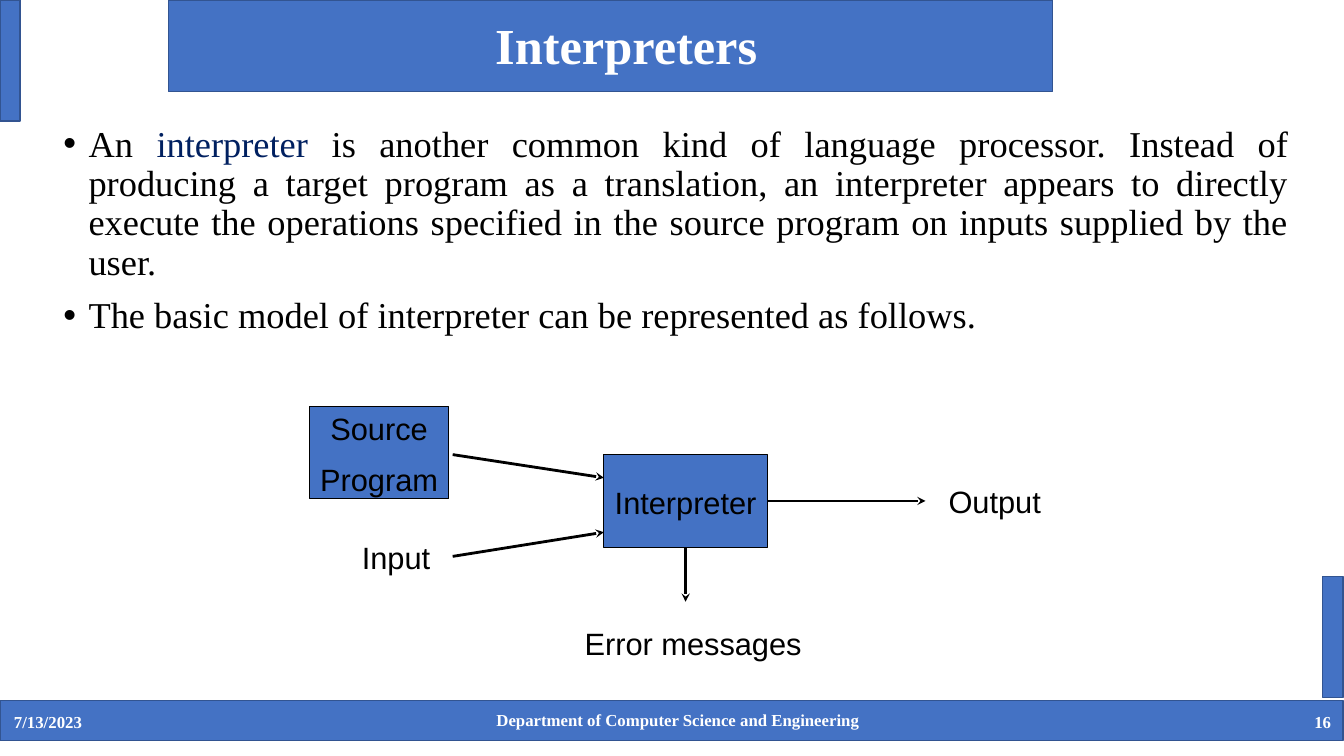
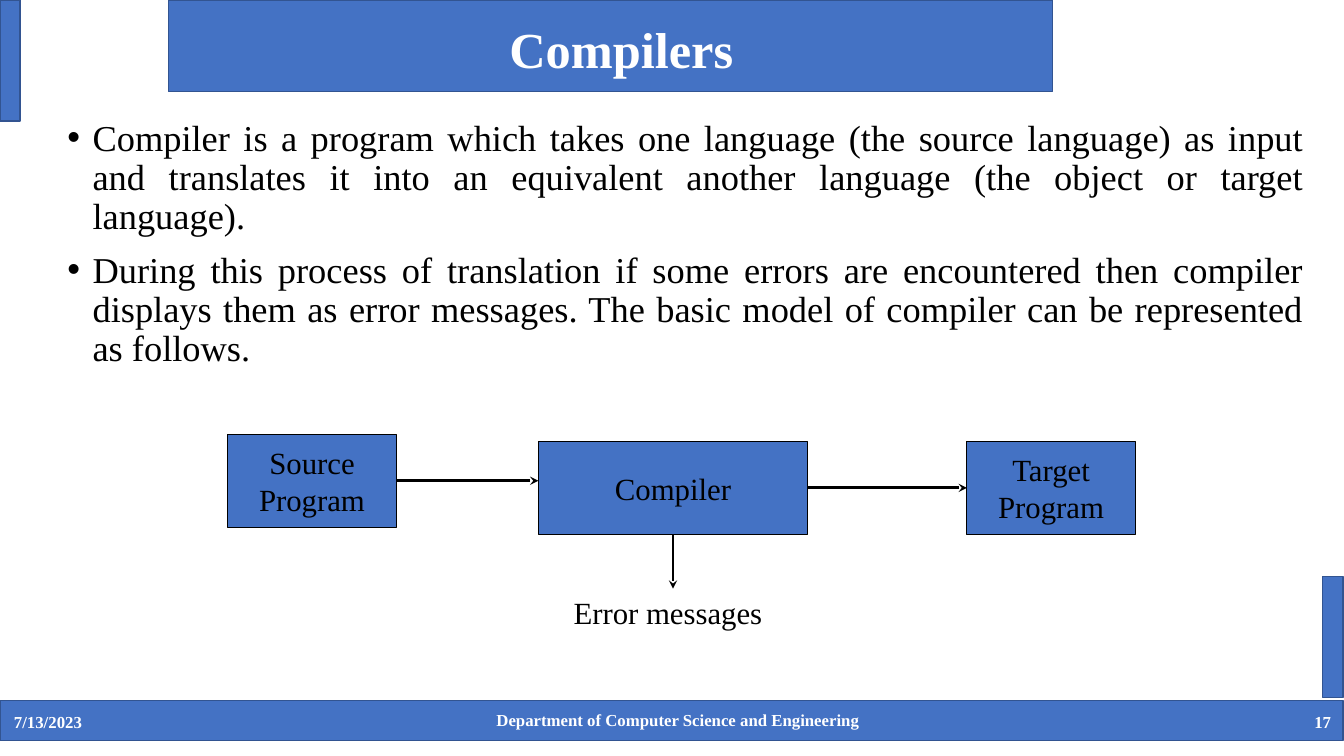
from lxml import etree
from pptx import Presentation
from pptx.dml.color import RGBColor
from pptx.enum.shapes import MSO_CONNECTOR, MSO_SHAPE
from pptx.enum.text import MSO_ANCHOR, PP_ALIGN
from pptx.oxml.ns import qn
from pptx.util import Inches, Pt

RECT = MSO_SHAPE.RECTANGLE
LINE = MSO_CONNECTOR.STRAIGHT
LEFT, MID, RIGHT, JUST = (PP_ALIGN.LEFT, PP_ALIGN.CENTER,
                          PP_ALIGN.RIGHT, PP_ALIGN.JUSTIFY)
MIDDLE = MSO_ANCHOR.MIDDLE
BOTTOM_SIDE, LEFT_SIDE, RIGHT_SIDE = 2, 1, 3

BLUE, EDGE, NAVY = "4472C4", "325491", "002060"
BLACK, WHITE = "000000", "FFFFFF"
SERIF, SANS = "Times New Roman", "Arial"

TITLE = dict(size=36, color=WHITE, bold=True, align=MID, lead=0.9)
BODY = dict(size=26, align=JUST, lead=0.9, before=10)
FOOT = dict(size=12, color=WHITE, bold=True)
LOOSE = dict(size=22, font=SANS, lead=1.07, after=8)
PLAIN = dict(size=22)

BANDS = [(0, 6.95, 13.32, 0.4), (0, 0, 0.2, 1.2),
         (1.67, 0, 8.77, 0.91), (13.12, 5.72, 0.2, 1.2)]
BOX_H = 0.92


def rgb(code):
    return RGBColor.from_string(code)


def write(frame, paras, size, font=SERIF, color=BLACK, bold=False,
          align=LEFT, lead=None, before=None, after=None):
    """Fill a text frame; each paragraph is a list of (text, colour or None)."""
    for i, runs in enumerate(paras):
        para = frame.paragraphs[0] if i == 0 else frame.add_paragraph()
        para.alignment = align
        if lead:
            para.line_spacing = lead
        if before:
            para.space_before = Pt(before)
        if after:
            para.space_after = Pt(after)
        for text, tint in runs:
            run = para.add_run()
            run.text = text
            run.font.name = font
            run.font.size = Pt(size)
            run.font.bold = bold
            run.font.color.rgb = rgb(tint or color)


def lines(*texts):
    return [[(text, None)] for text in texts]


def label(slide, x, y, w, h, paras, style, wrap=True):
    box = slide.shapes.add_textbox(Inches(x), Inches(y), Inches(w), Inches(h))
    box.text_frame.word_wrap = wrap
    write(box.text_frame, paras, **style)
    return box


def block(slide, x, y, w, h, edge, weight):
    shape = slide.shapes.add_shape(RECT, Inches(x), Inches(y),
                                   Inches(w), Inches(h))
    shape.shadow.inherit = False
    shape.fill.solid()
    shape.fill.fore_color.rgb = rgb(BLUE)
    shape.line.color.rgb = rgb(edge)
    shape.line.width = Pt(weight)
    return shape


def node(slide, x, y, w, texts, style):
    shape = block(slide, x, y, w, BOX_H, BLACK, 0.75)
    frame = shape.text_frame
    frame.word_wrap = False
    frame.vertical_anchor = MIDDLE
    write(frame, lines(*texts), align=MID, **style)
    return shape


def arrow(slide, x1, y1, x2, y2, start=None, end=None):
    """Draw an arrow; start and end are optional (shape, side) joints."""
    link = slide.shapes.add_connector(LINE, Inches(x1), Inches(y1),
                                      Inches(x2), Inches(y2))
    if start:
        link.begin_connect(*start)
    if end:
        link.end_connect(*end)
    link.line.color.rgb = rgb(BLACK)
    link.line.width = Pt(2)
    tail = etree.SubElement(link.line._get_or_add_ln(), qn("a:tailEnd"))
    tail.set("type", "stealth")
    etree.SubElement(link._element.spPr, qn("a:effectLst"))


def bullets(slide, x, y, w, h, paras):
    box = label(slide, x, y, w, h, paras, BODY)
    for para in box.text_frame.paragraphs:
        props = para._p.get_or_add_pPr()
        props.set("marL", str(Inches(0.25)))
        props.set("indent", str(-Inches(0.25)))
        etree.SubElement(props, qn("a:buFont")).set("typeface", SANS)
        etree.SubElement(props, qn("a:buChar")).set("char", "•")


def page(deck, number, title, x, y, w):
    """Add a slide with bands, footer and a title at the given place."""
    slide = deck.slides.add_slide(deck.slide_layouts[6])
    for band in BANDS:
        block(slide, *band, EDGE, 1)
    label(slide, 0.04, 7.01, 3, 0.4, lines("7/13/2023"), FOOT)
    label(slide, 10.3, 7.01, 3, 0.4, lines(number), dict(FOOT, align=RIGHT))
    label(slide, 3.98, 6.99, 5.49, 0.3,
          lines("Department of Computer Science and Engineering"),
          dict(FOOT, align=MID))
    head = label(slide, x, y, w, 0.69, lines(title), TITLE)
    head.text_frame.vertical_anchor = MIDDLE
    return slide


def run_flow(slide, x, y):
    """Interpreter model, with its top left corner at x, y."""
    node(slide, x, y, 1.38, ["Source", "Program"], LOOSE)
    core = node(slide, x + 2.92, y + 0.48, 1.62, ["Interpreter"], LOOSE)
    for text, dx, dy, w in [("Input", 0.42, 1.24, 0.89),
                            ("Output", 6.24, 0.68, 1.13),
                            ("Error messages", 2.63, 2.09, 2.38)]:
        label(slide, x + dx, y + dy, w, 0.48, lines(text), LOOSE, wrap=False)
    for y1, y2 in [(0.48, 0.71), (1.49, 1.25)]:
        arrow(slide, x + 1.42, y + y1, x + 2.92, y + y2)
    out, low = y + 0.48 + BOX_H / 2, y + 0.48 + BOX_H
    mid = x + 2.92 + 1.62 / 2
    arrow(slide, x + 4.54, out, x + 6.11, out, (core, RIGHT_SIDE))
    arrow(slide, mid, low, mid, y + 1.94, (core, BOTTOM_SIDE))


def build_flow(slide, x, y):
    """Compiler model, with its top left corner at x, y."""
    side, top = 1.67, y + 0.07
    source = node(slide, x, y, side, ["Source", "Program"], PLAIN)
    core = node(slide, x + 3.08, top, 2.67, ["Compiler"], PLAIN)
    target = node(slide, x + 7.33, top, side, ["Target", "Program"], PLAIN)
    label(slide, x + 3.33, y + 1.53, 2.11, 0.47,
          lines("Error messages"), PLAIN, wrap=False)
    into, out = y + BOX_H / 2, top + BOX_H / 2
    mid = x + 3.08 + 2.67 / 2
    arrow(slide, x + side, into, x + 3.08, into, (source, RIGHT_SIDE))
    arrow(slide, x + 5.75, out, x + 7.33, out,
          (core, RIGHT_SIDE), (target, LEFT_SIDE))
    arrow(slide, mid, top + BOX_H, mid, y + 1.53, (core, BOTTOM_SIDE))


def main():
    deck = Presentation()
    deck.slide_width, deck.slide_height = Inches(13.33), Inches(7.5)

    slide = page(deck, "16", " Interpreters", 2.05, 0.13, 8.2)
    bullets(slide, 0.53, 1.2, 12.36, 2.63, [
        [("An ", None), ("interpreter", NAVY),
         (" is another common kind of language processor. Instead of "
          "producing a target program as a translation, an interpreter "
          "appears to directly execute the operations specified in the "
          "source program on inputs supplied by the user.", None)],
        [("The basic model of interpreter can be represented as follows.",
          None)]])
    run_flow(slide, 3.07, 4.03)

    slide = page(deck, "17", "Compilers ", 2.09, 0.17, 8.27)
    bullets(slide, 0.57, 1.14, 12.47, 2.99, lines(
        "Compiler is a program which takes one language (the source "
        "language) as input and translates it into an equivalent another "
        "language (the object or target language).",
        "During this process of translation if some errors are encountered "
        "then compiler displays them as error messages. The basic model of "
        "compiler can be represented as follows."))
    build_flow(slide, 2.26, 4.31)

    deck.save("out.pptx")


if __name__ == "__main__":
    main()
